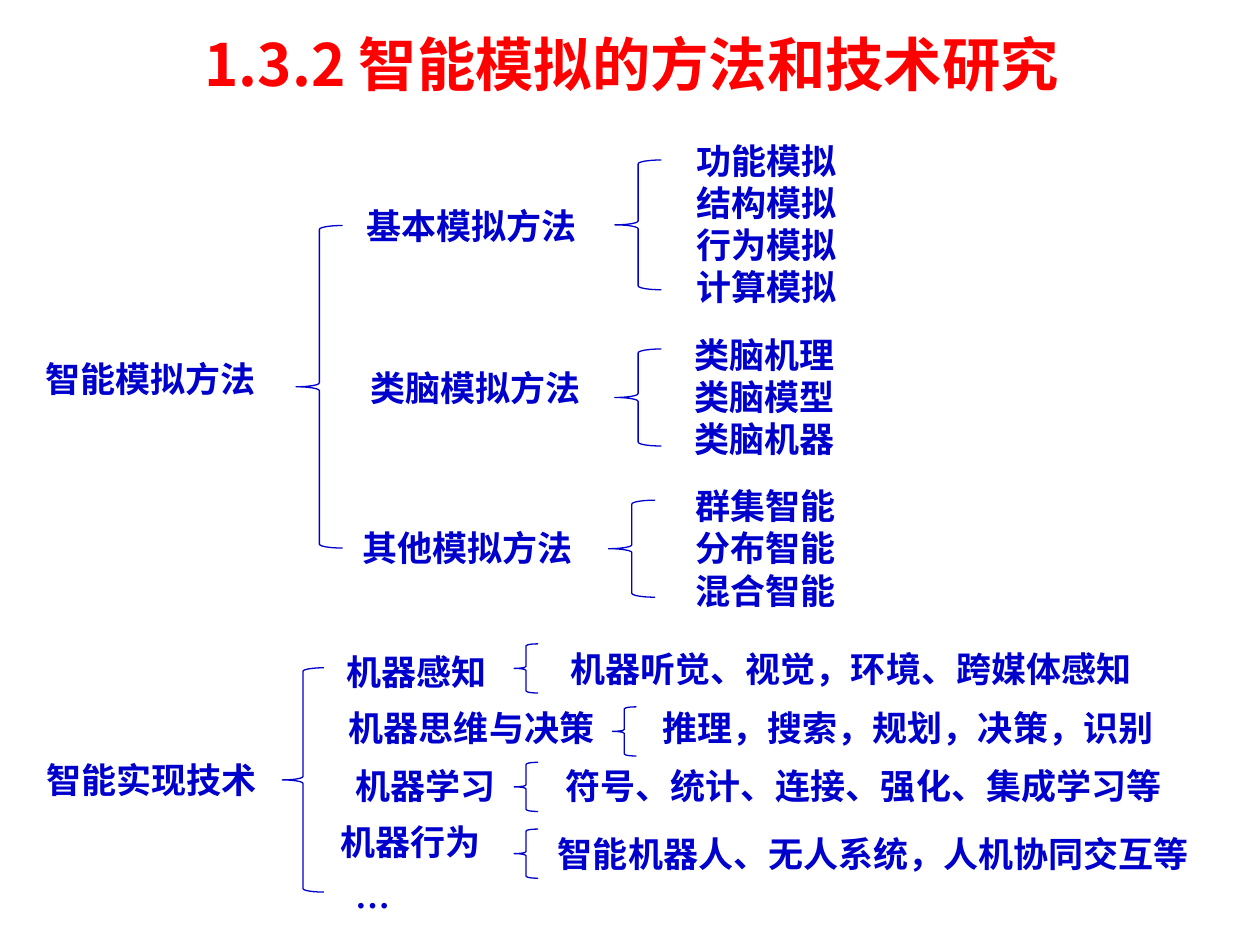
from dataclasses import dataclass

from lxml.etree import SubElement
from pptx import Presentation
from pptx.dml.color import RGBColor
from pptx.enum.shapes import MSO_SHAPE
from pptx.enum.text import MSO_ANCHOR, MSO_AUTO_SIZE, PP_ALIGN
from pptx.oxml.ns import qn
from pptx.util import Inches, Pt


@dataclass(frozen=True)
class Theme:
    font: str = "Noto Sans CJK SC"
    title_color: RGBColor = RGBColor(0xFF, 0x00, 0x00)
    body_color: RGBColor = RGBColor(0x00, 0x00, 0xCC)
    title_size: float = 33.3
    body_size: float = 20
    title_leading: float = 36
    body_leading: float = 24
    brace_width: float = 0.75


@dataclass(frozen=True)
class Box:
    left: float
    top: float
    width: float
    height: float

    def inside(self, left, top, width, height):
        """Return a box placed relative to this one."""
        return Box(self.left + left, self.top + top, width, height)

    def inches(self):
        return [Inches(value) for value in (self.left, self.top, self.width, self.height)]


THEME = Theme()
LINE_HEIGHT = THEME.body_leading / 72
PADDING = 0.05


def text_height(line_count):
    return 2 * PADDING + line_count * LINE_HEIGHT


def add_text(slide, box, text, *, size=THEME.body_size, color=THEME.body_color,
             leading=THEME.body_leading, align=PP_ALIGN.LEFT,
             auto_size=MSO_AUTO_SIZE.SHAPE_TO_FIT_TEXT):
    """Add a text box with one paragraph for each line of text."""
    frame = slide.shapes.add_textbox(*box.inches()).text_frame
    frame.word_wrap = True
    frame.auto_size = auto_size
    frame.vertical_anchor = MSO_ANCHOR.TOP
    frame.margin_top = frame.margin_bottom = Inches(PADDING)
    for index, line in enumerate(text.split("\n")):
        paragraph = frame.add_paragraph() if index else frame.paragraphs[0]
        paragraph.alignment = align
        paragraph.line_spacing = Pt(leading)
        run = paragraph.add_run()
        run.text = line
        run.font.name = THEME.font
        run.font.size = Pt(size)
        run.font.bold = True
        run.font.color.rgb = color
        east_asian = SubElement(run.font._element, qn("a:ea"))
        east_asian.set("typeface", THEME.font)


def add_brace(slide, box):
    brace = slide.shapes.add_shape(MSO_SHAPE.LEFT_BRACE, *box.inches())
    brace.shadow.inherit = False
    brace.fill.background()
    brace.line.color.rgb = THEME.body_color
    brace.line.width = Pt(THEME.brace_width)


def add_title(slide, box):
    add_text(slide, box, "1.3.2 智能模拟的方法和技术研究", size=THEME.title_size,
             color=THEME.title_color, leading=THEME.title_leading,
             align=PP_ALIGN.CENTER, auto_size=MSO_AUTO_SIZE.NONE)


def add_root(slide, box, text, text_top, brace):
    """Add the leftmost label and the brace that opens its branches."""
    add_text(slide, box.inside(0, text_top, 1.99, text_height(1)), text,
             align=PP_ALIGN.CENTER)
    add_brace(slide, box.inside(*brace))


def add_branch(slide, box, label, label_place, brace, details, details_place):
    """Add a label, its brace and its details; places are left, top, width."""
    add_text(slide, box.inside(*label_place, text_height(1)), label)
    add_brace(slide, box.inside(*brace))
    line_count = details.count("\n") + 1
    add_text(slide, box.inside(*details_place, text_height(line_count)), details)


def add_methods(slide, box):
    add_root(slide, box, "智能模拟方法", 1.73, (2.15, 0.73, 0.37, 2.56))
    branches = [
        ("基本模拟方法", (2.61, 0.51, 2.05), (4.68, 0.21, 0.37, 1.03),
         "功能模拟\n结构模拟\n行为模拟\n计算模拟", (5.23, 0, 2.19)),
        ("类脑模拟方法", (2.64, 1.8, 2.05), (4.68, 1.71, 0.37, 0.77),
         "类脑机理\n类脑模型\n类脑机器", (5.21, 1.54, 2.15)),
        ("其他模拟方法", (2.58, 3.07, 2.05), (4.63, 2.91, 0.37, 0.77),
         "群集智能\n分布智能\n混合智能", (5.22, 2.74, 1.5)),
    ]
    for branch in branches:
        add_branch(slide, box, *branch)


def add_technologies(slide, box):
    add_root(slide, box, "智能实现技术", 0.88, (2.03, 0.21, 0.33, 1.78))
    brace_size = (0.19, 0.39)
    branches = [
        ("机器感知", (2.44, 0.02, 1.42), (3.87, 0.02),
         "机器听觉、视觉，环境、跨媒体感知", (4.22, 0, 5.27)),
        ("机器思维与决策", (2.46, 0.47, 2.32), (4.65, 0.52),
         "推理，搜索，规划，决策，识别", (4.95, 0.47, 4.53)),
        ("机器学习", (2.51, 0.93, 1.47), (3.87, 0.96),
         "符号、统计、连接、强化、集成学习等", (4.18, 0.93, 5.3)),
        ("机器行为", (2.39, 1.37, 1.58), (3.87, 1.49),
         "智能机器人、无人系统，人机协同交互等", (4.12, 1.47, 5.31)),
    ]
    for label, label_place, brace_corner, details, details_place in branches:
        add_branch(slide, box, label, label_place, brace_corner + brace_size,
                   details, details_place)
    add_text(slide, box.inside(2.51, 1.88, 1.23, text_height(1)), "…")


def main():
    presentation = Presentation()
    presentation.slide_width = Inches(10)
    presentation.slide_height = Inches(7.5)
    slide = presentation.slides.add_slide(presentation.slide_layouts[6])
    add_title(slide, Box(0.31, 0.23, 9.41, 0.69))
    add_methods(slide, Box(0.2, 1.06, 7.42, 3.84))
    add_technologies(slide, Box(0.21, 5.09, 9.49, 2.32))
    presentation.save("out.pptx")


if __name__ == "__main__":
    main()
